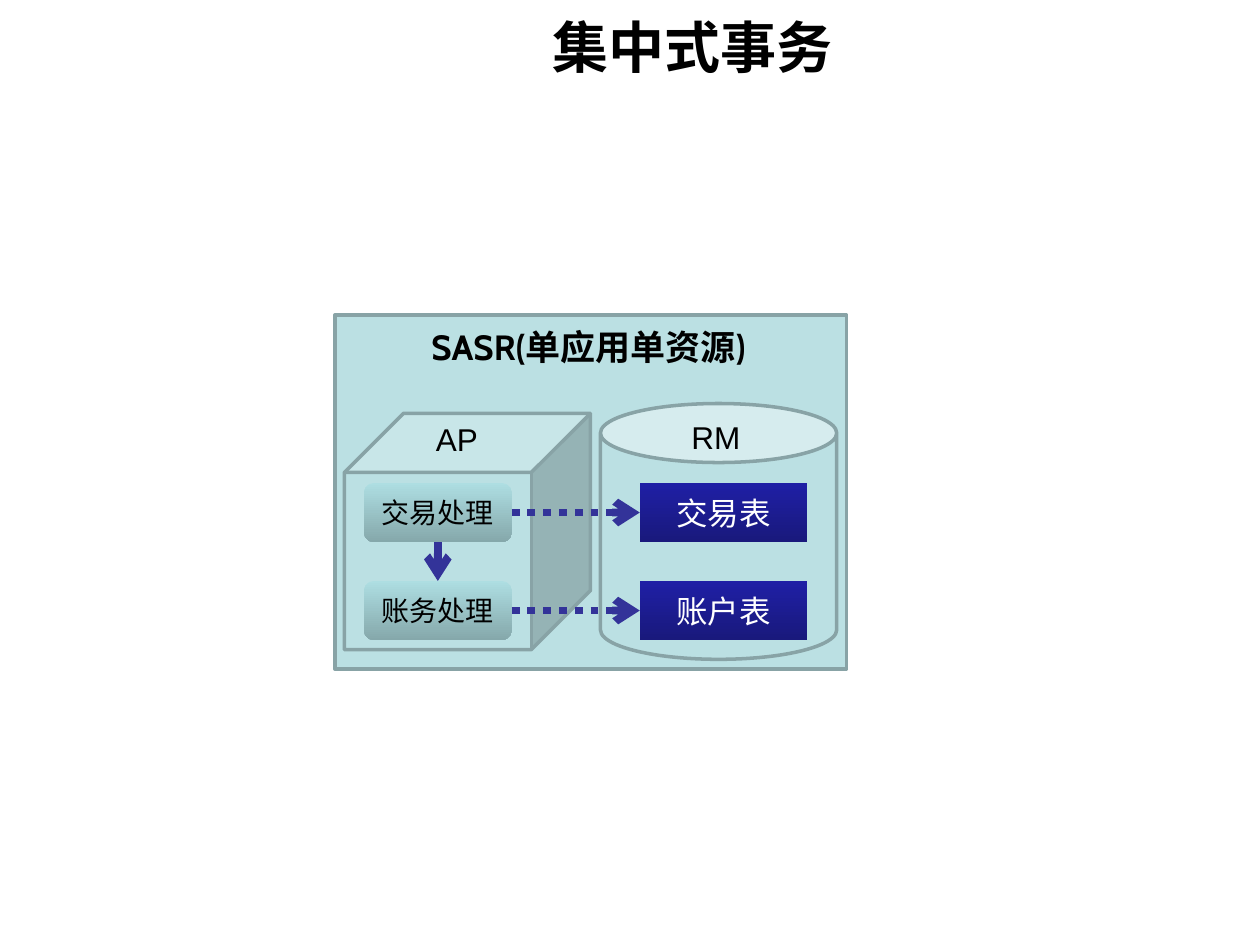
"""Build a slide showing a centralized transaction with one application and one resource."""
from typing import NamedTuple

from pptx import Presentation
from pptx.dml.color import RGBColor
from pptx.enum import dml, shapes, text
from pptx.oxml import ns
from pptx.util import Pt
from lxml import etree

BLACK = RGBColor(0x00, 0x00, 0x00)
WHITE = RGBColor(0xFF, 0xFF, 0xFF)
PALE = RGBColor(0xBB, 0xE0, 0xE3)
EDGE = RGBColor(0x88, 0xA3, 0xA6)
ARROW = RGBColor(0x33, 0x33, 0x99)
TEAL_TOP, TEAL_END = RGBColor(0xAE, 0xDE, 0xE2), RGBColor(0x85, 0xA8, 0xAB)
NAVY_TOP, NAVY_END = RGBColor(0x1F, 0x1F, 0xA5), RGBColor(0x19, 0x19, 0x7C)
LATIN, CJK, SANS = "Cabin", "Noto Sans CJK SC", "Arial"
KIND = shapes.MSO_SHAPE
ROWS = (276, 332)
BOX_H = 33.8
TOP, LEFT, BOTTOM, RIGHT = range(4)


class Body(NamedTuple):
    kind: KIND
    x: float
    y: float
    w: float
    h: float


class BoxStyle(NamedTuple):
    kind: KIND
    x: float
    w: float
    top: RGBColor
    end: RGBColor
    size: float
    color: RGBColor


class Label(NamedTuple):
    words: str
    x: float
    y: float
    w: float
    h: float


BODIES = (
    Body(KIND.RECTANGLE, 191.5, 180, 292.3, 202.3),
    Body(KIND.CUBE, 196.8, 236.2, 140.6, 135),
    Body(KIND.CAN, 343.1, 230.6, 135, 146.2),
)
STEP = BoxStyle(KIND.ROUNDED_RECTANGLE, 208, 84.4, TEAL_TOP, TEAL_END, 16, BLACK)
TABLE = BoxStyle(KIND.RECTANGLE, 365.6, 95.6, NAVY_TOP, NAVY_END, 18, WHITE)
LABELS = (Label("RM", 388, 235.5, 42.5, 28.8), Label("AP", 242, 236.5, 38.2, 28.8))


def add_run(p, words: str, font: str, size: float, color: RGBColor, bold: bool = False) -> None:
    r = p.add_run()
    r.text = words
    r.font.name, r.font.size, r.font.bold = font, Pt(size), bold
    r.font.color.rgb = color
    ea = etree.SubElement(r.font._element, ns.qn("a:ea"))
    ea.set("typeface", font)


def place(sp, x: float, y: float, w: float, h: float) -> None:
    sp.left, sp.top, sp.width, sp.height = Pt(x), Pt(y), Pt(w), Pt(h)


def clear_margins(tf) -> None:
    tf.margin_left = tf.margin_right = tf.margin_top = tf.margin_bottom = 0


def add_body(s, body: Body) -> None:
    sp = s.shapes.add_shape(body.kind, *map(Pt, body[1:]))
    sp.shadow.inherit = False
    sp.fill.solid()
    sp.fill.fore_color.rgb = PALE
    sp.line.color.rgb = EDGE
    sp.line.width = Pt(2)


def add_box(s, style: BoxStyle, y: float, words: str):
    sp = s.shapes.add_shape(style.kind, Pt(style.x), Pt(y), Pt(style.w), Pt(BOX_H))
    sp.shadow.inherit = False
    sp.line.fill.background()
    sp.fill.gradient()
    sp.fill.gradient_angle = 270
    for stop, color, position in zip(sp.fill.gradient_stops, (style.top, style.end), (0, 1)):
        stop.color.rgb = color
        stop.position = position
    tf = sp.text_frame
    tf.vertical_anchor = text.MSO_ANCHOR.MIDDLE
    p = tf.paragraphs[0]
    p.alignment = text.PP_ALIGN.CENTER
    add_run(p, words, CJK, style.size, style.color)
    return sp


def add_arrow(s, start, start_side: int, end, end_side: int, dotted: bool) -> None:
    c = s.shapes.add_connector(shapes.MSO_CONNECTOR.STRAIGHT, 0, 0, 0, 0)
    c.begin_connect(start, start_side)
    c.end_connect(end, end_side)
    c.line.color.rgb = ARROW
    c.line.width = Pt(4.5)
    if dotted:
        c.line.dash_style = dml.MSO_LINE.ROUND_DOT
    tail = etree.SubElement(c.line._get_or_add_ln(), ns.qn("a:tailEnd"))
    tail.set("type", "arrow")
    etree.SubElement(c._element.spPr, ns.qn("a:effectLst"))


def add_heading(s) -> None:
    sp = s.shapes.add_textbox(Pt(208), Pt(185.8), Pt(256.5), Pt(33.8))
    tf = sp.text_frame
    tf.word_wrap = True
    clear_margins(tf)
    p = tf.paragraphs[0]
    p.alignment = text.PP_ALIGN.CENTER
    p.space_before = Pt(5)
    pPr = p._p.get_or_add_pPr()
    pPr.set("marL", str(Pt(27)))
    pPr.set("indent", str(-Pt(27)))
    for words, font in (("SASR(", LATIN), ("单应用单资源", CJK), (")", LATIN)):
        add_run(p, words, font, 20, BLACK, True)


def add_label(s, label: Label) -> None:
    sp = s.shapes.add_textbox(*map(Pt, label[1:]))
    tf = sp.text_frame
    tf.word_wrap = False
    tf.auto_size = text.MSO_AUTO_SIZE.SHAPE_TO_FIT_TEXT
    add_run(tf.paragraphs[0], label.words, SANS, 18, BLACK)


def add_title(s) -> None:
    sp = s.shapes.title
    place(sp, 72, -18.7, 648, 90)
    tf = sp.text_frame
    clear_margins(tf)
    tf.vertical_anchor = text.MSO_ANCHOR.MIDDLE
    p = tf.paragraphs[0]
    p.alignment = text.PP_ALIGN.CENTER
    add_run(p, "集中式事务", LATIN, 32, BLACK, True)


def main() -> None:
    prs = Presentation()
    prs.slide_width, prs.slide_height = Pt(720), Pt(540)
    s = prs.slides.add_slide(prs.slide_layouts.get_by_name("Title Only"))
    add_title(s)
    panel, cube, can = BODIES
    add_body(s, panel)
    add_heading(s)
    add_body(s, cube)
    steps = [add_box(s, STEP, y, words) for y, words in zip(ROWS, ("交易处理", "账务处理"))]
    add_body(s, can)
    tables = [add_box(s, TABLE, y, words) for y, words in zip(ROWS, ("交易表", "账户表"))]
    add_arrow(s, steps[0], BOTTOM, steps[1], TOP, False)
    for step, table in zip(steps, tables):
        add_arrow(s, step, RIGHT, table, LEFT, True)
    for label in LABELS:
        add_label(s, label)
    prs.save("out.pptx")


if __name__ == "__main__":
    main()
